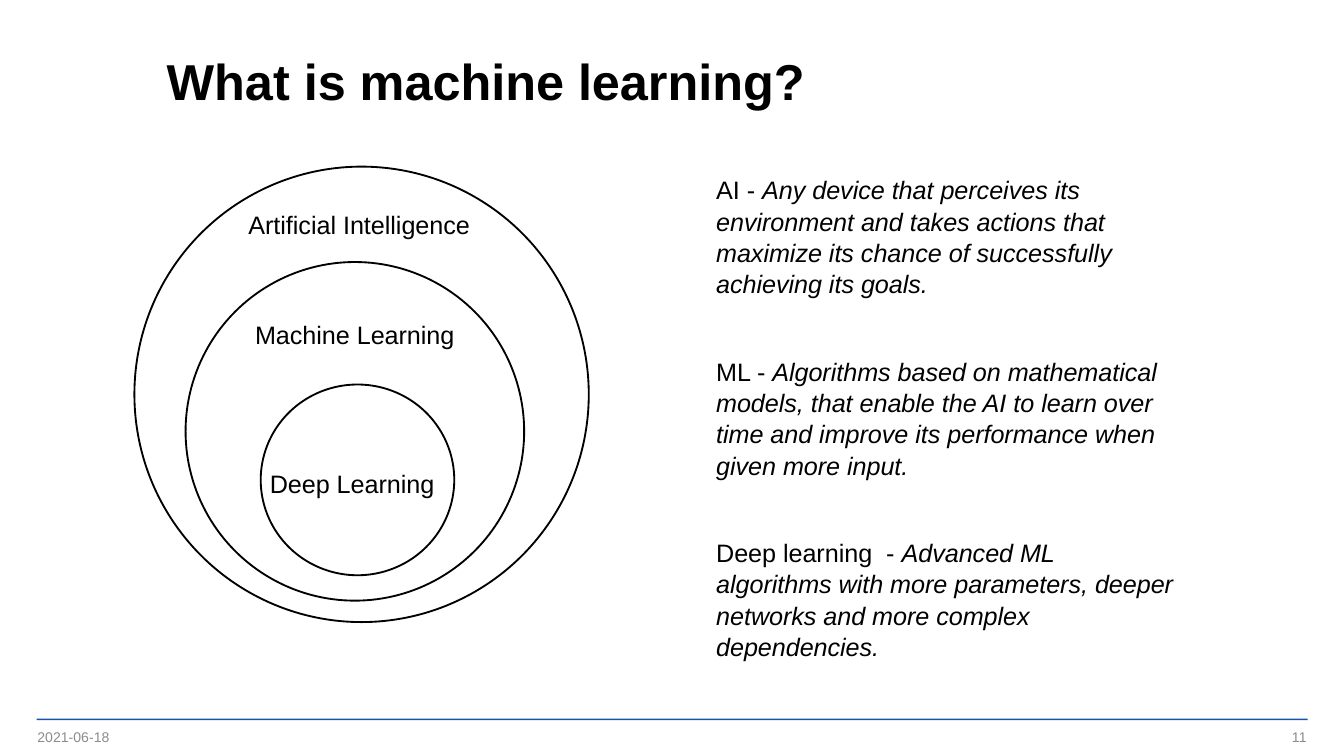
"""Build a slide that explains machine learning with nested circles and definitions."""
from typing import NamedTuple

import pptx
import pptx.dml.color
import pptx.enum.shapes
import pptx.enum.text
import pptx.util

Pt = pptx.util.Pt
ALIGN = pptx.enum.text.PP_ALIGN
ANCHOR = pptx.enum.text.MSO_ANCHOR
SHAPES = pptx.enum.shapes.MSO_SHAPE

COLOURS = {"ink": "000000", "footer": "8C8C8C", "rule": "1954A6"}
FONT = "Arial"


class Box(NamedTuple):
    left: float
    top: float
    width: float
    height: float


class Field(NamedTuple):
    name: str
    circle: Box
    label: Box


class Definition(NamedTuple):
    term: str
    meaning: str
    width: float


FIELDS = [
    Field("Artificial Intelligence", Box(72, 89.3, 243.4, 244), Box(126, 108, 134.6, 23.8)),
    Field("Machine Learning", Box(99.4, 140.4, 181.4, 181.4), Box(129.6, 167, 123.1, 23.8)),
    Field("Deep Learning", Box(139.7, 206, 103.7, 102.2), Box(137.5, 247, 103.7, 23.8)),
]

DEFINITIONS = [
    Definition(
        "AI - ",
        "Any device that perceives its environment and takes actions that "
        "maximize its chance of successfully achieving its goals.",
        244,
    ),
    Definition(
        "ML - ",
        "Algorithms based on mathematical models, that enable the AI to learn over "
        "time and improve its performance when given more input.",
        259.2,
    ),
    Definition(
        "Deep learning  - ",
        "Advanced ML algorithms with more parameters, deeper networks "
        "and more complex dependencies.",
        259.2,
    ),
]
DEFINITION_LEFT, DEFINITION_TOP, DEFINITION_STEP = 376.6, 89.3, 97.2


def colour(name: str) -> pptx.dml.color.RGBColor:
    return pptx.dml.color.RGBColor.from_string(COLOURS[name])


def lengths(box: Box) -> list[int]:
    return [Pt(value) for value in box]


def write_text(shape, text: str, *, italic_text: str = "", size: float = 13.5,
               ink: str = "ink", bold: bool = False, align=ALIGN.LEFT,
               anchor=ANCHOR.TOP, spacing: float = 1.04, wrap: bool = True,
               margins: tuple[float, float] = (7.2, 3.6)) -> None:
    frame = shape.text_frame
    frame.word_wrap = wrap
    frame.auto_size = pptx.enum.text.MSO_AUTO_SIZE.NONE
    frame.vertical_anchor = anchor
    frame.margin_left = frame.margin_right = Pt(margins[0])
    frame.margin_top = frame.margin_bottom = Pt(margins[1])
    paragraph = frame.paragraphs[0]
    paragraph.alignment = align
    paragraph.line_spacing = spacing
    for content, italic in ((text, False), (italic_text, True)):
        if content:
            run = paragraph.add_run()
            run.text = content
            run.font.name = FONT
            run.font.size = Pt(size)
            run.font.bold = bold
            run.font.italic = italic
            run.font.color.rgb = colour(ink)


def draw_field(slide, field: Field) -> None:
    circle = slide.shapes.add_shape(SHAPES.OVAL, *lengths(field.circle))
    circle.shadow.inherit = False
    circle.fill.background()
    circle.line.color.rgb = colour("ink")
    circle.line.width = Pt(1)
    write_text(slide.shapes.add_textbox(*lengths(field.label)), field.name, wrap=False)


def draw_definition(slide, definition: Definition, top: float) -> None:
    box = Box(DEFINITION_LEFT, top, definition.width, 73)
    write_text(slide.shapes.add_textbox(*lengths(box)), definition.term,
               italic_text=definition.meaning)


def draw_footer(slide) -> None:
    rule = slide.shapes.add_shape(SHAPES.RECTANGLE, *lengths(Box(19.6, 385, 681, 0.9)))
    rule.shadow.inherit = False
    rule.fill.solid()
    rule.fill.fore_color.rgb = colour("rule")
    rule.line.fill.background()
    for text, left, align in (("2021-06-18", 20, ALIGN.LEFT), ("11", 538, ALIGN.RIGHT)):
        box = slide.shapes.add_textbox(*lengths(Box(left, 386, 162, 18)))
        write_text(box, text, size=7.5, ink="footer", align=align,
                   anchor=ANCHOR.MIDDLE, spacing=1, margins=(0, 0))


def main() -> None:
    presentation = pptx.Presentation()
    presentation.slide_width, presentation.slide_height = Pt(720), Pt(405)
    slide = presentation.slides.add_slide(presentation.slide_layouts[5])
    draw_footer(slide)
    title = slide.shapes.title
    title.left, title.top, title.width, title.height = lengths(Box(89.3, 19.4, 611.3, 51))
    write_text(title, "What is machine learning?", size=27, bold=True,
               anchor=ANCHOR.MIDDLE, spacing=0.9, margins=(0, 0))
    for field in FIELDS:
        draw_field(slide, field)
    for index, definition in enumerate(DEFINITIONS):
        draw_definition(slide, definition, DEFINITION_TOP + index * DEFINITION_STEP)
    presentation.save("out.pptx")


if __name__ == "__main__":
    main()
